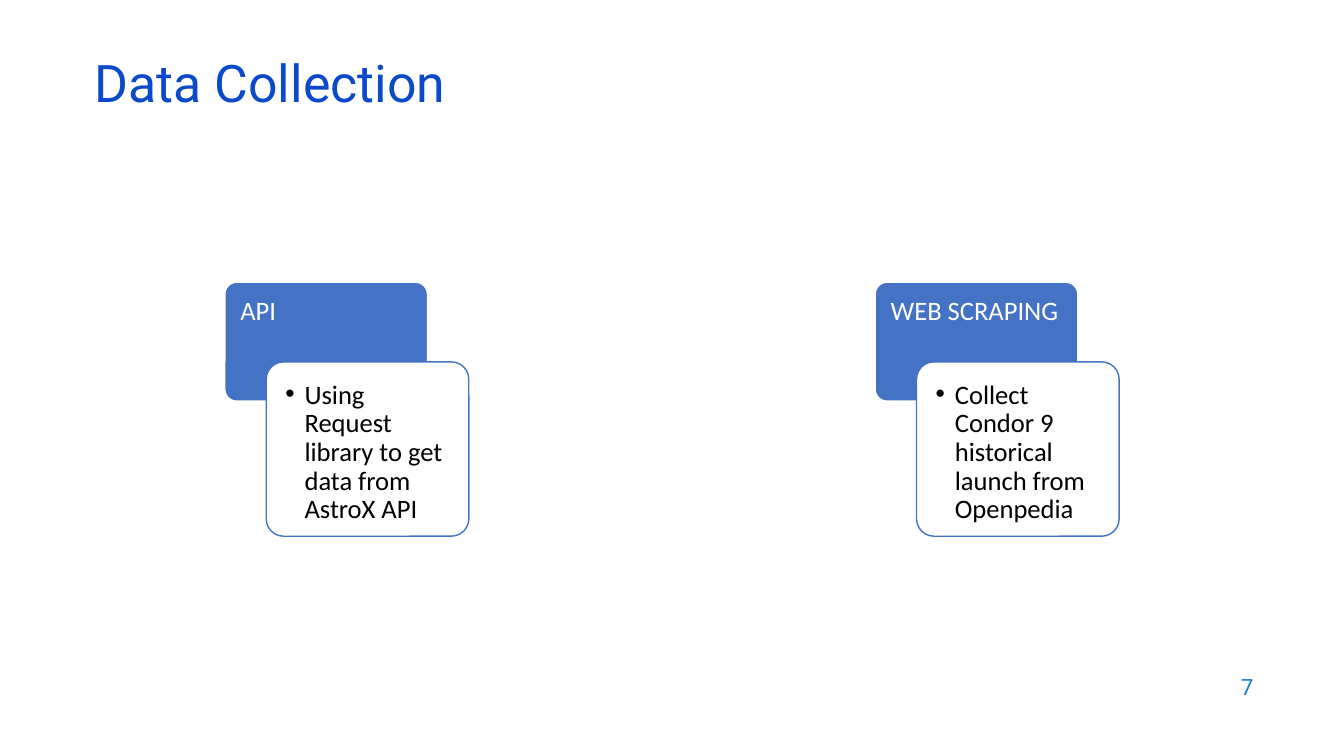
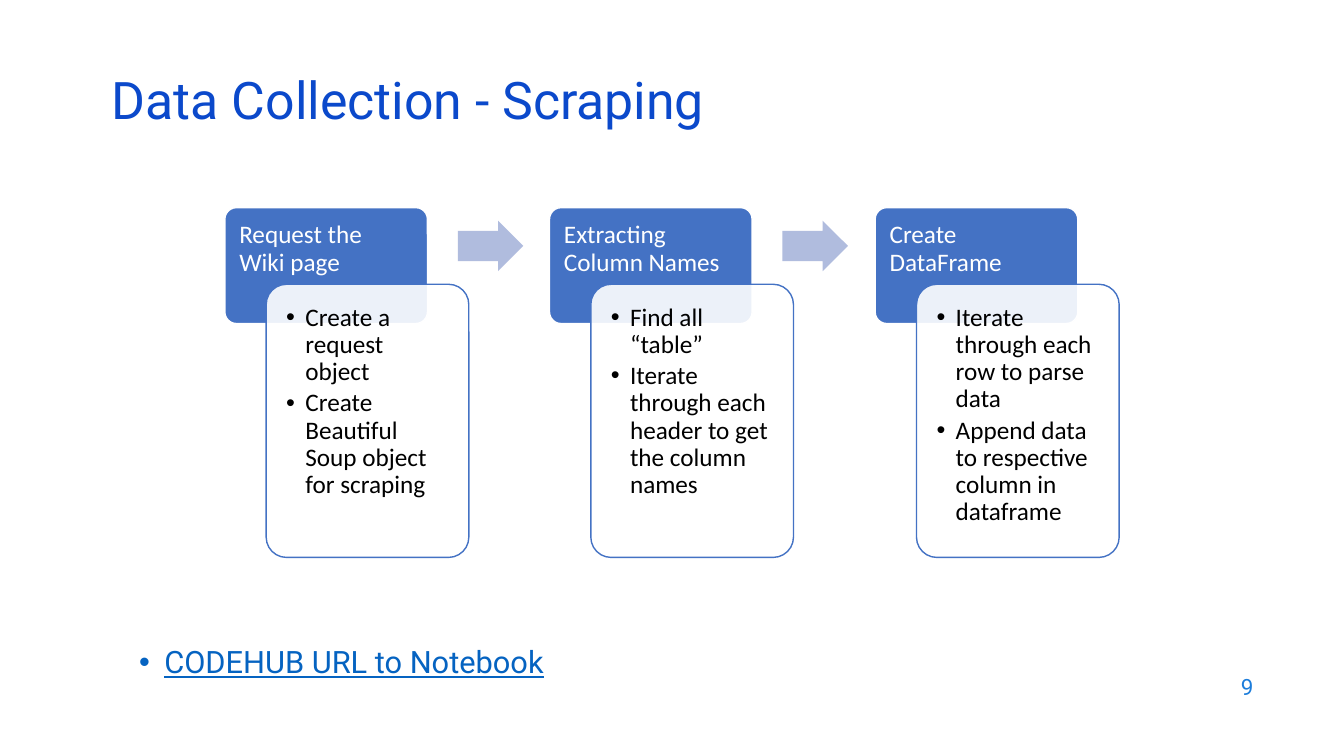
import dataclasses
import typing

import lxml.etree
import pptx
import pptx.dml.color
import pptx.enum.shapes
import pptx.enum.text
import pptx.oxml.ns
import pptx.slide
import pptx.util

# Shared look
SCALE = 9144  # EMU in one px, 100 px to the inch
WIDE, HIGH = 1333, 750
TITLE, NUMBER, LINK = "0B49CB", "1C7DDB", "0563C1"
BLUE, PALE, WHITE, BLACK = "4472C4", "B0BCDE", "FFFFFF", "000000"
HEAD, BODY = "Roboto", "Calibri"
LEFT, STEP = 223, 645  # first card; two columns span STEP
CARD, SHIFT = 201, 41

Shape = pptx.enum.shapes.MSO_SHAPE
Align = pptx.enum.text.PP_ALIGN
Anchor = pptx.enum.text.MSO_ANCHOR
qn = pptx.oxml.ns.qn


class Box(typing.NamedTuple):
    x: int
    y: int
    w: int
    h: int


class Font(typing.NamedTuple):
    name: str
    size: int
    color: str
    under: bool = False


@dataclasses.dataclass
class Card:
    col: int
    head: str
    items: list[str]


@dataclasses.dataclass
class Style:
    top: int
    head: int   # height of the blue card
    drop: int   # offset of the white card
    front: int  # height of the white card
    size: int
    pad: int
    alpha: int
    arrows: bool


def px(size: int) -> int:
    return pptx.util.Emu(size * SCALE)


def rgb(color: str) -> pptx.dml.color.RGBColor:
    return pptx.dml.color.RGBColor.from_string(color)


# Text
def write(para, text: str, font: Font) -> None:
    run = para.add_run()
    run.text = text
    run.font.name = font.name
    run.font.size = pptx.util.Pt(font.size)
    run.font.color.rgb = rgb(font.color)
    if font.under:
        run.font.underline = True


def bullet(para, dent: int) -> None:
    props = para._p.get_or_add_pPr()
    props.set("marL", str(px(dent)))
    props.set("indent", str(-px(dent)))
    face = lxml.etree.SubElement(props, qn("a:buFont"))
    face.set("typeface", "Arial")
    lxml.etree.SubElement(props, qn("a:buChar")).set("char", "•")


def fill_text(frame, lines: list[str], font: Font, dent: int = 0,
              space: float = 1.0, after: int = 0, align=Align.LEFT,
              anchor=Anchor.TOP) -> None:
    frame.word_wrap = True
    frame.auto_size = pptx.enum.text.MSO_AUTO_SIZE.NONE
    frame.vertical_anchor = anchor
    for i, line in enumerate(lines):
        para = frame.add_paragraph() if i else frame.paragraphs[0]
        if dent:
            bullet(para, dent)
        para.alignment = align
        para.line_spacing = space
        para.space_before = pptx.util.Pt(0)
        para.space_after = pptx.util.Pt(after)
        write(para, line, font)


def pad(frame, size: int) -> None:
    frame.margin_left = frame.margin_right = px(size)
    frame.margin_top = frame.margin_bottom = px(size)


# Shapes
def place(shape, box: Box) -> None:
    shape.left, shape.top, shape.width, shape.height = map(px, box)


def draw(slide: pptx.slide.Slide, kind, box: Box, color: str,
         adjust: list[float], line: str = "", alpha: int = 100):
    shape = slide.shapes.add_shape(kind, *map(px, box))
    shape.shadow.inherit = False
    for i, value in enumerate(adjust):
        shape.adjustments[i] = value
    shape.fill.solid()
    shape.fill.fore_color.rgb = rgb(color)
    if alpha < 100:
        tint = shape._element.spPr.find(qn("a:solidFill"))[0]
        lxml.etree.SubElement(tint, qn("a:alpha")).set("val", str(alpha * 1000))
    if line:
        shape.line.color.rgb = rgb(line)
        shape.line.width = pptx.util.Pt(1)
    else:
        shape.line.fill.background()
    return shape


def draw_card(slide: pptx.slide.Slide, card: Card, style: Style) -> None:
    x = LEFT + card.col * STEP // 2
    back = draw(slide, Shape.ROUNDED_RECTANGLE,
                Box(x, style.top, CARD, style.head), BLUE, [0.1], WHITE)
    pad(back.text_frame, style.pad)
    fill_text(back.text_frame, [card.head], Font(BODY, style.size, WHITE),
              space=0.9)
    front = draw(slide, Shape.ROUNDED_RECTANGLE,
                 Box(x + SHIFT, style.top + style.drop, CARD, style.front),
                 WHITE, [0.1], BLUE, style.alpha)
    pad(front.text_frame, 14)
    fill_text(front.text_frame, card.items, Font(BODY, style.size, BLACK),
              dent=19, space=0.9, after=3)


def draw_cards(slide: pptx.slide.Slide, cards: list[Card],
               style: Style) -> None:
    for card in cards:
        draw_card(slide, card, style)
        if style.arrows and card is not cards[-1]:
            x = LEFT + card.col * STEP // 2 + 231
            draw(slide, Shape.RIGHT_ARROW, Box(x, style.top + 13, 65, 50),
                 PALE, [0.6, 0.5])


# Slide frame: title and page number
def start(deck, layout: int, title: str, x: int, y: int,
          page: int) -> pptx.slide.Slide:
    slide = deck.slides.add_slide(deck.slide_layouts[layout])
    place(slide.shapes.title, Box(x, y, 1150, 60))
    fill_text(slide.shapes.title.text_frame, [title], Font(HEAD, 37, TITLE),
              space=0.7, anchor=Anchor.MIDDLE)
    note = slide.shapes.add_textbox(*map(px, Box(953, 659, 300, 44)))
    fill_text(note.text_frame, [str(page)], Font(HEAD, 16, NUMBER),
              align=Align.RIGHT, anchor=Anchor.MIDDLE)
    return slide


SOURCES = [
    Card(0, "API", ["Using Request library to get data from AstroX API"]),
    Card(2, "WEB SCRAPING",
         ["Collect Condor 9 historical launch from Openpedia"]),
]
STEPS = [
    Card(0, "Request the Wiki page",
         ["Create a request object",
          "Create Beautiful Soup object for scraping"]),
    Card(1, "Extracting Column Names",
         ["Find all “table”",
          "Iterate through each header to get the column names"]),
    Card(2, "Create DataFrame",
         ["Iterate through each row to parse data",
          "Append data to respective column in dataframe"]),
]


def main() -> None:
    deck = pptx.Presentation()
    deck.slide_width, deck.slide_height = px(WIDE), px(HIGH)

    # Data sources
    slide = start(deck, 5, "Data Collection", 84, 59, 7)
    draw_cards(slide, SOURCES, Style(280, 118, 79, 173, 19, 12, 100, False))

    # Scraping steps
    slide = start(deck, 1, "Data Collection - Scraping", 101, 76, 9)
    draw_cards(slide, STEPS, Style(206, 115, 76, 271, 18, 11, 90, True))
    body = slide.placeholders[1]
    place(body, Box(128, 633, 1025, 110))
    fill_text(body.text_frame, ["CODEHUB URL to Notebook"],
              Font(HEAD, 22, LINK, True), dent=25)

    deck.save("out.pptx")


if __name__ == "__main__":
    main()
